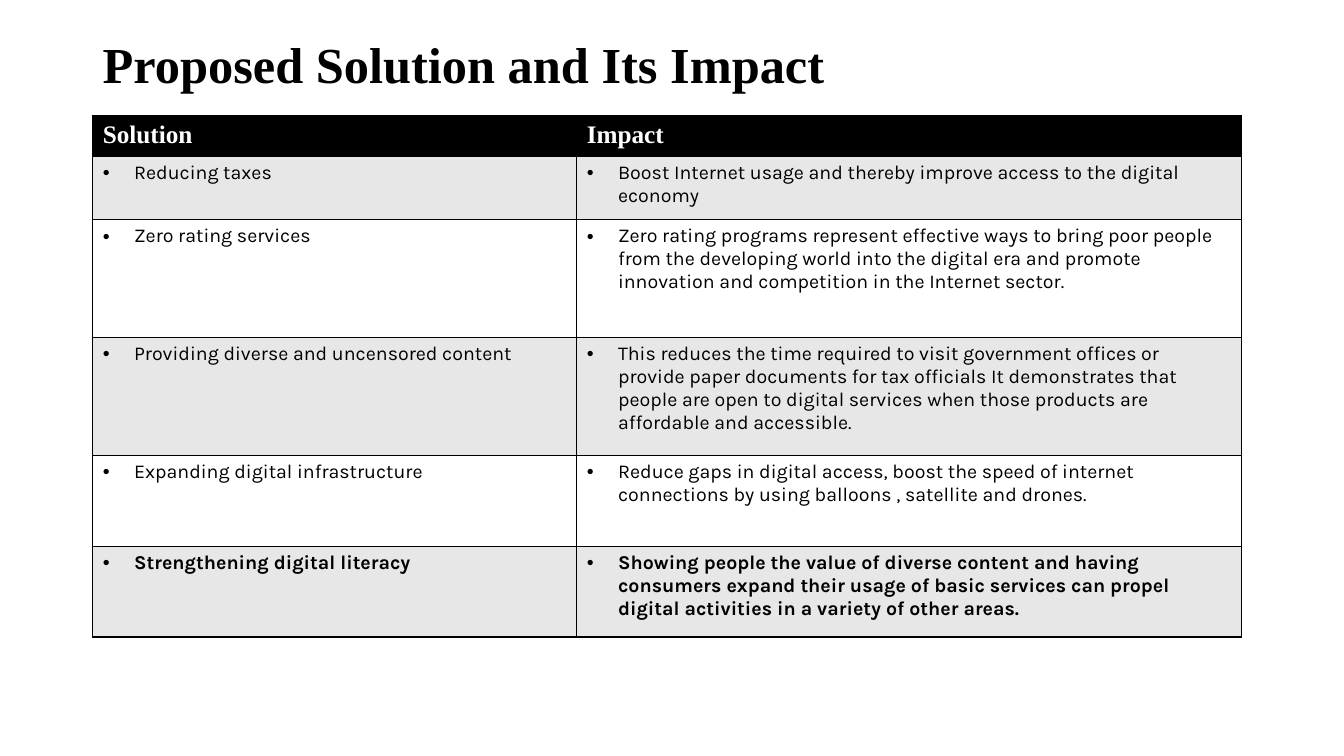
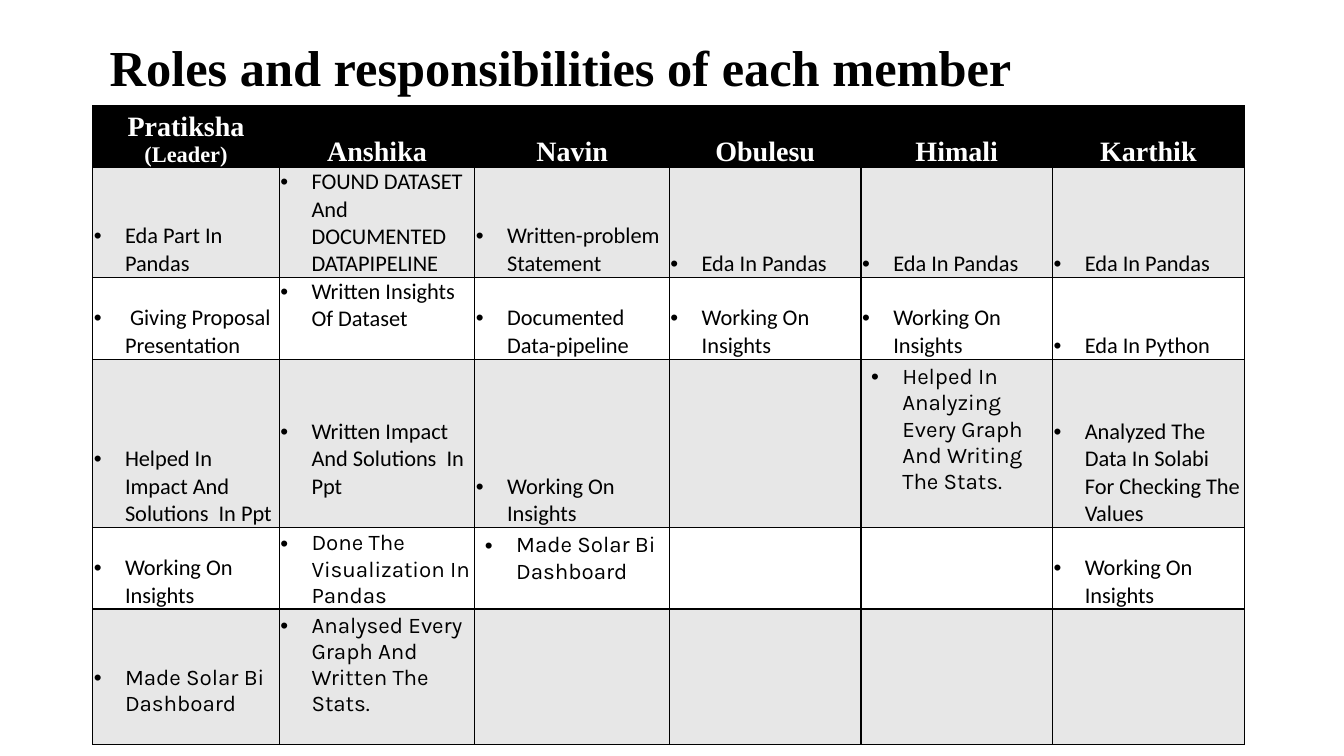
from dataclasses import dataclass

from lxml import etree
from pptx import Presentation
from pptx.dml.color import RGBColor
from pptx.enum import text
from pptx.oxml import ns
from pptx.util import Inches, Pt

BLACK, WHITE, GREY = "000000", "FFFFFF", "E7E7E7"
SERIF, BODY, PLAIN = "Times New Roman", "Karla", "Calibri"
INDENT = 0.31
ROOMY = (0.1, 0.05, 0.1, 0.05)
TIGHT = (0.01, 0.01, 0.01, 0)
RAISED = (0.01, 0.01, 0.01, 0.27)


@dataclass
class Entry:
    """Text of one table cell with its look; note is a smaller second run."""
    words: str
    font: str = PLAIN
    size: int = 16
    bold: bool = False
    insets: tuple = TIGHT
    bottom: bool = True
    note: str = ""


def rgb(code):
    return RGBColor.from_string(code)


def set_font(font, name, size, color, bold):
    font.name, font.size, font.bold = name, Pt(size), bold
    font.color.rgb = rgb(color)


def add_title(slide, words, left, top, width, height):
    frame = slide.shapes.add_textbox(*map(Inches, (left, top, width, height))).text_frame
    frame.word_wrap = True
    frame.vertical_anchor = text.MSO_ANCHOR.MIDDLE
    line = frame.paragraphs[0]
    line.text = words
    line.line_spacing = 0.9
    set_font(line.font, SERIF, 36, BLACK, True)


def add_bullet(paragraph):
    props = paragraph._p.get_or_add_pPr()
    props.set("marL", str(Inches(INDENT)))
    props.set("indent", str(-Inches(INDENT)))
    etree.SubElement(props, ns.qn("a:buFont")).set("typeface", "Arial")
    etree.SubElement(props, ns.qn("a:buChar")).set("char", "•")


def add_borders(cell):
    props = cell._tc.get_or_add_tcPr()
    for place, side in enumerate(("lnL", "lnR", "lnT", "lnB")):
        edge = etree.Element(ns.qn(f"a:{side}"), w=str(Pt(1)))
        fill = etree.SubElement(edge, ns.qn("a:solidFill"))
        etree.SubElement(fill, ns.qn("a:srgbClr")).set("val", BLACK)
        props.insert(place, edge)


def fill_cell(cell, entry, is_header, centred):
    cell.margin_left, cell.margin_top, cell.margin_right, cell.margin_bottom = map(
        Inches, entry.insets)
    anchors = text.MSO_ANCHOR
    cell.vertical_anchor = anchors.BOTTOM if entry.bottom else anchors.TOP
    line = cell.text_frame.paragraphs[0]
    if not is_header:
        add_bullet(line)
    elif centred:
        line.alignment = text.PP_ALIGN.CENTER
    set_font(line.font, entry.font, entry.size, WHITE if is_header else BLACK, entry.bold)
    line.add_run().text = entry.words
    if entry.note:
        note = line.add_run()
        note.text = entry.note
        note.font.size = Pt(16)


def add_grid(slide, left, top, widths, heights, rows, centred=False):
    """Table with a black header row and grey and white rows in turn."""
    box = map(Inches, (left, top, sum(widths), sum(heights)))
    table = slide.shapes.add_table(len(heights), len(widths), *box).table
    table.first_row = table.horz_banding = False
    for column, width in zip(table.columns, widths):
        column.width = Inches(width)
    for number, (row, height, entries) in enumerate(zip(table.rows, heights, rows)):
        row.height = Inches(height)
        band = BLACK if number == 0 else GREY if number % 2 else WHITE
        for cell, entry in zip(row.cells, entries):
            cell.fill.solid()
            cell.fill.fore_color.rgb = rgb(band)
            add_borders(cell)
            if entry:
                fill_cell(cell, entry, number == 0, centred)


def build_solutions(slide):
    add_title(slide, "Proposed Solution and Its Impact", 0.92, 0.4, 11.5, 0.54)
    pairs = [
        ("Solution", "Impact"),
        ("Reducing taxes",
         "Boost Internet usage and thereby improve access to the digital economy"),
        ("Zero rating services",
         "Zero rating programs represent effective ways to bring poor people from the "
         "developing world into the digital era and promote innovation and competition "
         "in the Internet sector."),
        ("Providing diverse and uncensored content",
         "This reduces the time required to visit government offices or provide paper "
         "documents for tax officials It demonstrates that people are open to digital "
         "services when those products are affordable and accessible."),
        ("Expanding digital infrastructure",
         "Reduce gaps in digital access, boost the speed of internet connections by "
         "using balloons , satellite and drones."),
        ("Strengthening digital literacy",
         "Showing people the value of diverse content and having consumers expand their "
         "usage of basic services can propel digital activities in a variety of other "
         "areas."),
    ]
    header, last = 0, len(pairs) - 1
    rows = [[Entry(words, SERIF if number == header else BODY,
                   18 if number == header else 14,
                   number in (header, last), ROOMY, bottom=False) for words in pair]
            for number, pair in enumerate(pairs)]
    add_grid(slide, 0.92, 1.15, [4.8, 6.59], [0.37, 0.63, 1.17, 1.17, 0.9, 0.9], rows)


def build_roles(slide):
    add_title(slide, "Roles and responsibilities of each member", 0.99, 0.16, 11.43, 1.07)
    leader = Entry("Pratiksha ", SERIF, 20, True, note="(Leader)")
    members = [Entry(name, SERIF, 20, True)
               for name in ("Anshika", "Navin", "Obulesu", "Himali", "Karthik")]
    pandas, insights = Entry("Eda In Pandas"), Entry("Working On Insights")
    rows = [
        [leader, *members],
        [Entry("Eda Part In Pandas"), Entry("FOUND DATASET And DOCUMENTED DATAPIPELINE"),
         Entry("Written-problem Statement"), pandas, pandas, pandas],
        [Entry(" Giving Proposal Presentation"),
         Entry("Written Insights Of Dataset", insets=RAISED),
         Entry("Documented Data-pipeline"), insights, insights, Entry("Eda In Python")],
        [Entry("Helped In Impact And Solutions  In Ppt"),
         Entry("Written Impact And Solutions  In Ppt", insets=RAISED), insights, None,
         Entry("Helped In Analyzing Every Graph And Writing The Stats.", BODY,
               insets=ROOMY, bottom=False),
         Entry("Analyzed The Data In Solabi For Checking The Values")],
        [insights, Entry("Done The Visualization In Pandas", BODY),
         Entry("Made Solar Bi Dashboard", BODY, insets=ROOMY, bottom=False),
         None, None, insights],
        [Entry("Made Solar Bi Dashboard", BODY, insets=RAISED),
         Entry("Analysed Every Graph And Written The Stats.", BODY, insets=RAISED),
         None, None, None, None],
    ]
    add_grid(slide, 0.92, 1.05, [1.85, 1.94, 1.93, 1.9, 1.9, 1.9],
             [0.59, 1.09, 0.81, 1.67, 0.79, 1.31], rows, centred=True)


def main():
    deck = Presentation()
    deck.slide_width, deck.slide_height = Inches(13.33), Inches(7.5)
    for build in (build_solutions, build_roles):
        build(deck.slides.add_slide(deck.slide_layouts[6]))
    deck.save("out.pptx")


if __name__ == "__main__":
    main()
